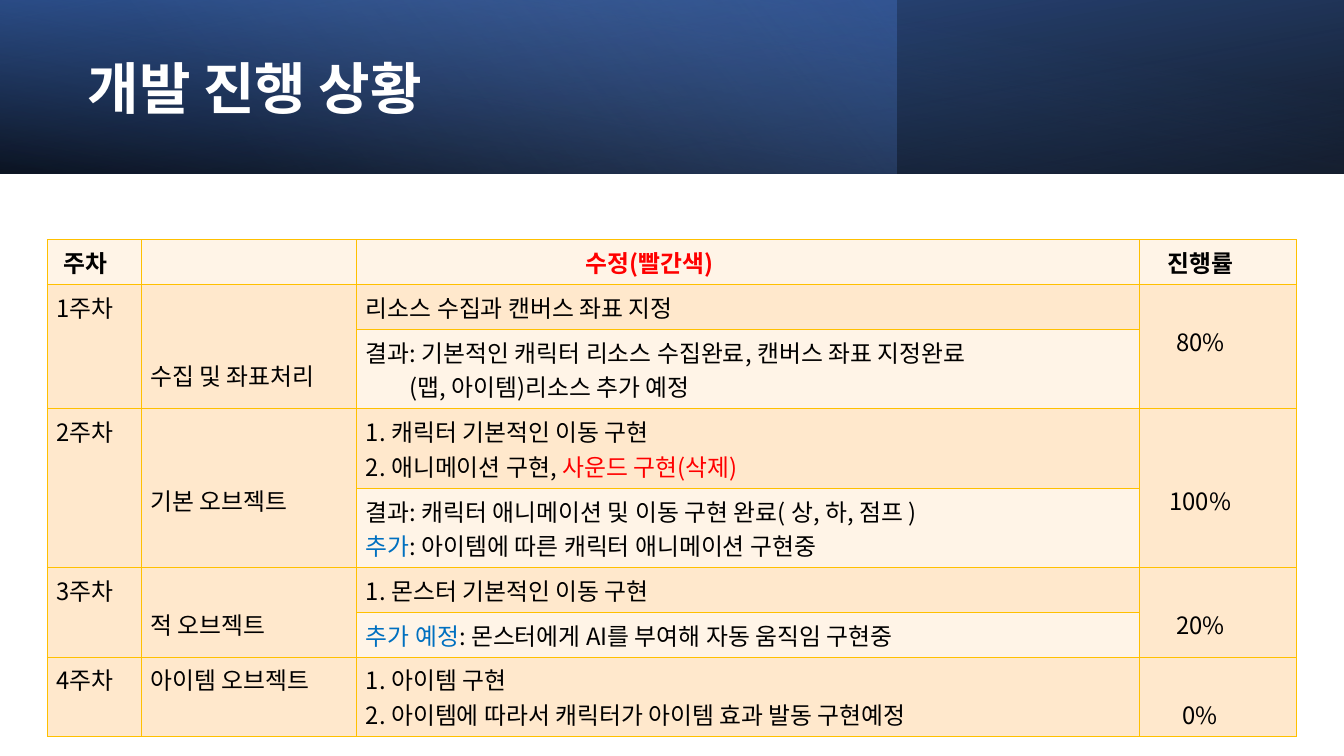
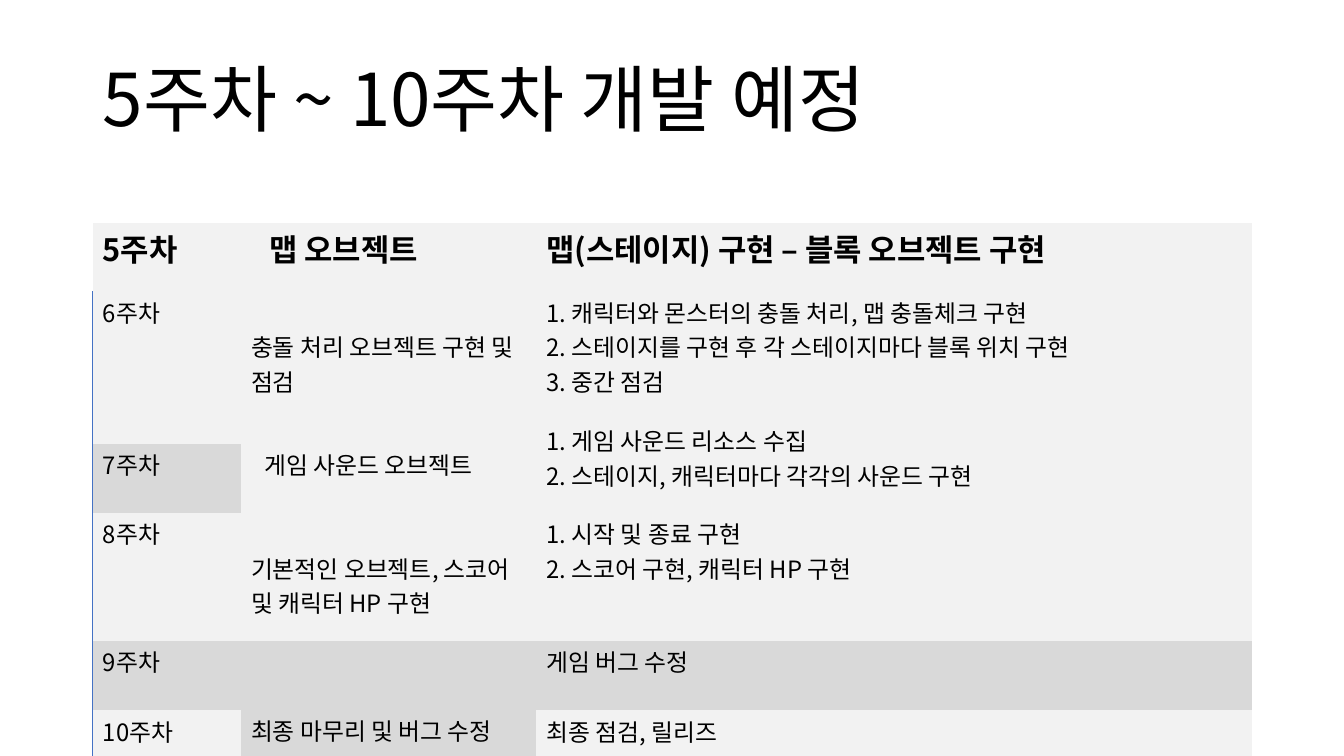
from dataclasses import dataclass
from typing import Any

from lxml import etree
from pptx import Presentation
from pptx.dml.color import RGBColor
from pptx.enum import shapes, text
from pptx.oxml import ns
from pptx.util import Inches, Pt

BLACK = RGBColor(0x00, 0x00, 0x00)
WHITE = RGBColor(0xFF, 0xFF, 0xFF)
RED = RGBColor(0xFF, 0x00, 0x00)
BLUE = RGBColor(0x00, 0x70, 0xC0)
NAVY = RGBColor(0x2F, 0x55, 0x97)
ROYAL = RGBColor(0x44, 0x72, 0xC4)
SKY = RGBColor(0x8F, 0xAA, 0xDC)
GOLD = RGBColor(0xFF, 0xC0, 0x00)
CREAM = RGBColor(0xFF, 0xF4, 0xE7)
PEACH = RGBColor(0xFF, 0xE8, 0xCC)
PALE_GREY = RGBColor(0xF2, 0xF2, 0xF2)
GREY = RGBColor(0xD9, 0xD9, 0xD9)

FONT = "Noto Sans CJK KR"
BODY_SIZE = 17
LINE_HEIGHT = 0.34
NO_STYLE = "{2D5ABB26-0587-4C30-8999-92F81FD0307C}"


@dataclass(frozen=True)
class Stop:
    position: float
    color: RGBColor
    opacity: int


@dataclass(frozen=True)
class Band:
    width: float
    angle: int
    stops: tuple[Stop, Stop]
    rotation: int = 0
    flipped: bool = False


@dataclass(frozen=True)
class Span:
    text: str
    color: RGBColor = BLACK


@dataclass(frozen=True)
class Line:
    spans: tuple[Span, ...]
    indent: float = 0


@dataclass(frozen=True)
class Entry:
    """Content of one cell; skipped counts the text lines left free above it."""
    row: int
    column: int
    lines: tuple[Line, ...]
    row_span: int = 1
    skipped: int = 0
    indent: float = 0


@dataclass(frozen=True)
class Grid:
    left: float
    top: float
    columns: tuple[float, ...]
    rows: tuple[float, ...]
    margins: tuple[float, float, float, float]
    header_size: int


def line(*spans: str | Span, indent: float = 0) -> Line:
    return Line(tuple(Span(s) if isinstance(s, str) else s for s in spans), indent)


def entry(row: int, column: int, *lines: str | Line, **options: Any) -> Entry:
    return Entry(row, column, tuple(line(x) if isinstance(x, str) else x for x in lines), **options)


BANDS = (
    Band(13.33, 100, (Stop(0, BLACK, 96), Stop(1, NAVY, 100)), 180, True),
    Band(8.89, 140, (Stop(0, ROYAL, 41), Stop(0.74, SKY, 0))),
    Band(13.33, 260, (Stop(0, BLACK, 63), Stop(0.78, ROYAL, 15)), flipped=True),
)

PROGRESS_GRID = Grid(0.47, 2.38, (0.93, 2.14, 7.76, 1.56),
                     (0.41, 0.41, 0.69, 0.69, 0.69, 0.41, 0.41, 0.69),
                     (0.09, 0.05, 0.09, 0.05), BODY_SIZE)
PROGRESS = (
    entry(0, 0, "주차", indent=0.07),
    entry(0, 2, line(Span("수정(빨간색)", RED)), indent=2.18),
    entry(0, 3, "진행률"),
    entry(1, 0, "1주차", row_span=2),
    entry(1, 1, "수집 및 좌표처리", row_span=2, skipped=2),
    entry(1, 2, "리소스 수집과 캔버스 좌표 지정"),
    entry(1, 3, "80%", row_span=2, skipped=1),
    entry(2, 2, "결과: 기본적인 캐릭터 리소스 수집완료, 캔버스 좌표 지정완료",
          line("(맵, 아이템)리소스 추가 예정", indent=0.43)),
    entry(3, 0, "2주차", row_span=2),
    entry(3, 1, "기본 오브젝트", row_span=2, skipped=2),
    entry(3, 2, "1. 캐릭터 기본적인 이동 구현",
          line("2. 애니메이션 구현, ", Span("사운드 구현(삭제)", RED))),
    entry(3, 3, "100%", row_span=2, skipped=2),
    entry(4, 2, "결과: 캐릭터 애니메이션 및 이동 구현 완료( 상, 하, 점프 )",
          line(Span("추가", BLUE), ": 아이템에 따른 캐릭터 애니메이션 구현중")),
    entry(5, 0, "3주차", row_span=2),
    entry(5, 1, "적 오브젝트", row_span=2, skipped=1),
    entry(5, 2, "1. 몬스터 기본적인 이동 구현"),
    entry(5, 3, "20%", row_span=2, skipped=1),
    entry(6, 2, line(Span("추가 예정", BLUE), ": 몬스터에게 AI를 부여해 자동 움직임 구현중")),
    entry(7, 0, "4주차"),
    entry(7, 1, "아이템 오브젝트"),
    entry(7, 2, "1. 아이템 구현", "2. 아이템에 따라서 캐릭터가 아이템 효과 발동 구현예정"),
    entry(7, 3, "0%", skipped=1),
)

PLAN_GRID = Grid(0.92, 2.21, (1.47, 2.93, 7.1),
                 (0.64, 0.88, 0, 0.69, 1.1, 0.69, 0.69),
                 (0.1, 0.03, 0.14, 0.21), 22)
PLAN = (
    entry(0, 0, "5주차"),
    entry(0, 1, "맵 오브젝트", indent=0.18),
    entry(0, 2, "맵(스테이지) 구현 – 블록 오브젝트 구현"),
    entry(1, 0, "6주차", row_span=2),
    entry(1, 1, "충돌 처리 오브젝트 구현 및 점검", row_span=2, skipped=1),
    entry(1, 2, "1. 캐릭터와 몬스터의 충돌 처리, 맵 충돌체크 구현",
          "2. 스테이지를 구현 후 각 스테이지마다 블록 위치 구현", "3. 중간 점검"),
    entry(2, 2, "1. 게임 사운드 리소스 수집", "2. 스테이지, 캐릭터마다 각각의 사운드 구현", row_span=2),
    entry(3, 0, "7주차"),
    entry(3, 1, "게임 사운드 오브젝트", indent=0.13),
    entry(4, 0, "8주차"),
    entry(4, 1, "기본적인 오브젝트, 스코어 및 캐릭터 HP 구현", skipped=1),
    entry(4, 2, "1. 시작 및 종료 구현", "2. 스코어 구현, 캐릭터 HP 구현"),
    entry(5, 0, "9주차"),
    entry(5, 1, "최종 마무리 및 버그 수정", row_span=2, skipped=2),
    entry(5, 2, "게임 버그 수정"),
    entry(6, 0, "10주차"),
    entry(6, 2, "최종 점검, 릴리즈"),
)
PLAN_GREY_CELLS = {(3, 0), (5, 0), (5, 1), (5, 2)}


def apply_format(target: Any, values: dict[str, Any]) -> None:
    for name, value in values.items():
        setattr(target, name, value)


def add_run(paragraph: Any, content: str, size: int, color: RGBColor, bold: bool) -> None:
    run = paragraph.add_run()
    run.text = content
    apply_format(run.font, {"name": FONT, "size": Pt(size), "bold": bold})
    run.font.color.rgb = color


def add_east_asian_font(shape: Any) -> None:
    for latin in list(shape.element.iter(ns.qn("a:latin"))):
        latin.addnext(latin.makeelement(ns.qn("a:ea"), {"typeface": FONT}))


def add_title(slide: Any, content: str, box: tuple[float, float, float, float],
              size: int, color: RGBColor, bold: bool) -> Any:
    title = slide.shapes.title
    apply_format(title, dict(zip(("left", "top", "width", "height"), map(Inches, box))))
    apply_format(title.text_frame, {"word_wrap": True, "auto_size": text.MSO_AUTO_SIZE.NONE,
                                    "vertical_anchor": text.MSO_ANCHOR.MIDDLE})
    paragraph = title.text_frame.paragraphs[0]
    apply_format(paragraph, {"alignment": text.PP_ALIGN.LEFT, "line_spacing": 0.9,
                             "space_before": Pt(0), "space_after": Pt(6)})
    add_run(paragraph, content, size, color, bold)
    add_east_asian_font(title)
    return title


def add_band(slide: Any, band: Band) -> Any:
    shape = slide.shapes.add_shape(shapes.MSO_SHAPE.RECTANGLE, 0, 0,
                                   Inches(band.width), Inches(1.72))
    shape.shadow.inherit = False
    shape.line.fill.background()
    shape.fill.gradient()
    shape.fill.gradient_angle = 360 - band.angle
    for gradient_stop, stop in zip(shape.fill.gradient_stops, band.stops):
        gradient_stop.position = stop.position
        gradient_stop.color.rgb = stop.color
    for color, stop in zip(shape.element.iter(ns.qn("a:srgbClr")), band.stops):
        etree.SubElement(color, ns.qn("a:alpha"), val=str(stop.opacity * 1000))
    shape.rotation = band.rotation
    if band.flipped:
        next(shape.element.iter(ns.qn("a:xfrm"))).set("flipH", "1")
    return shape


def add_borders(cell: Any, sides: str, color: RGBColor) -> None:
    """Draw one-point borders on the given sides (letters of LRTB, in that order)."""
    properties = cell._tc.get_or_add_tcPr()
    for side in sides:
        border = etree.SubElement(properties, ns.qn(f"a:ln{side}"), w=str(Pt(1)))
        fill = etree.SubElement(border, ns.qn("a:solidFill"))
        etree.SubElement(fill, ns.qn("a:srgbClr"), val=str(color))


def fill_cell(cell: Any, color: RGBColor) -> None:
    cell.fill.solid()
    cell.fill.fore_color.rgb = color


def write_entry(table: Any, item: Entry, grid: Grid) -> None:
    cell = table.cell(item.row, item.column)
    if item.row_span > 1:
        cell.merge(table.cell(item.row + item.row_span - 1, item.column))
    cell.margin_left = Inches(grid.margins[0] + item.indent)
    cell.margin_top = Inches(grid.margins[1] + item.skipped * LINE_HEIGHT)
    header = item.row == 0
    for index, content in enumerate(item.lines):
        paragraph = cell.text_frame.add_paragraph() if index else cell.text_frame.paragraphs[0]
        if content.indent:
            paragraph._p.get_or_add_pPr().set("marL", str(Inches(content.indent)))
        for span in content.spans:
            add_run(paragraph, span.text, grid.header_size if header else BODY_SIZE,
                    span.color, header)


def add_grid(slide: Any, grid: Grid, entries: tuple[Entry, ...]) -> Any:
    frame = slide.shapes.add_table(len(grid.rows), len(grid.columns), Inches(grid.left),
                                   Inches(grid.top), Inches(sum(grid.columns)),
                                   Inches(sum(grid.rows)))
    table = frame.table
    apply_format(table, {"first_row": False, "horz_banding": False})
    next(frame.element.iter(ns.qn("a:tableStyleId"))).text = NO_STYLE
    for column, width in zip(table.columns, grid.columns):
        column.width = Inches(width)
    for row, height in zip(table.rows, grid.rows):
        row.height = Inches(height)
    names = ("margin_left", "margin_top", "margin_right", "margin_bottom")
    for cell in table.iter_cells():
        apply_format(cell, dict(zip(names, map(Inches, grid.margins))))
    for item in entries:
        write_entry(table, item, grid)
    add_east_asian_font(frame)
    return table


def build_progress_slide(slide: Any) -> None:
    title = add_title(slide, "개발 진행 상황", (0.77, 0.27, 7.72, 1.27), 40, WHITE, True)
    for band in BANDS:
        title.element.addprevious(add_band(slide, band).element)
    table = add_grid(slide, PROGRESS_GRID, PROGRESS)
    for row in range(len(PROGRESS_GRID.rows)):
        for column in range(len(PROGRESS_GRID.columns)):
            cell = table.cell(row, column)
            is_result = column == 2 and row % 2 == 0
            add_borders(cell, "LRTB", GOLD)
            fill_cell(cell, CREAM if row == 0 or is_result else PEACH)
        rate = table.cell(row, 3)
        rate.margin_right = Inches(0.44)
        rate.text_frame.paragraphs[0].alignment = text.PP_ALIGN.CENTER


def build_plan_slide(slide: Any) -> None:
    add_title(slide, "5주차 ~ 10주차 개발 예정", (0.92, 0.2, 11.5, 1.65), 52, BLACK, False)
    table = add_grid(slide, PLAN_GRID, PLAN)
    for row in range(len(PLAN_GRID.rows)):
        for column in range(len(PLAN_GRID.columns)):
            cell = table.cell(row, column)
            if row == 0:
                cell.vertical_anchor = text.MSO_ANCHOR.BOTTOM
            elif column == 0:
                add_borders(cell, "L", ROYAL)
            fill_cell(cell, GREY if (row, column) in PLAN_GREY_CELLS else PALE_GREY)


def main() -> None:
    presentation = Presentation()
    apply_format(presentation, {"slide_width": Inches(13.33), "slide_height": Inches(7.5)})
    for build in (build_progress_slide, build_plan_slide):
        build(presentation.slides.add_slide(presentation.slide_layouts[5]))
    presentation.save("out.pptx")


if __name__ == "__main__":
    main()
